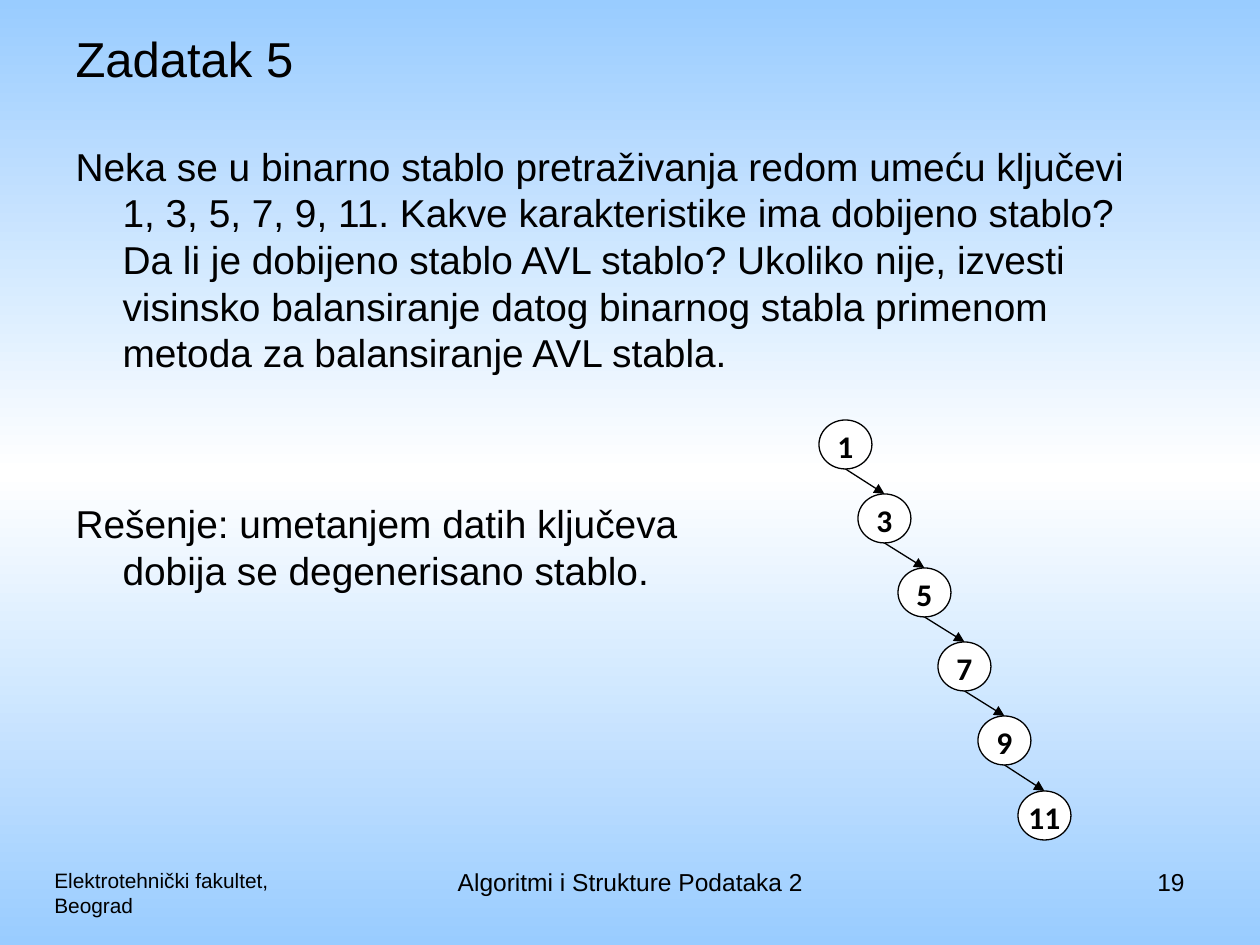
"""Build the slide on a degenerate binary search tree."""
from copy import deepcopy

from pptx import Presentation
from pptx.dml.color import RGBColor
from pptx.enum.shapes import MSO_CONNECTOR, MSO_SHAPE
from pptx.enum.text import MSO_ANCHOR, MSO_AUTO_SIZE, PP_ALIGN
from pptx.oxml.ns import qn
from pptx.oxml.xmlchemy import OxmlElement
from pptx.util import Emu, Pt

BLACK = RGBColor(0x00, 0x00, 0x00)
WHITE = RGBColor(0xFF, 0xFF, 0xFF)
SKY = RGBColor(0x99, 0xCC, 0xFF)


def px(length):
    return Emu(round(length * 914400 / 126))


def write(shape, paragraphs, size, alignment=PP_ALIGN.LEFT, font_name="Arial", bold=False):
    text_frame = shape.text_frame
    text_frame.text = "\n".join(paragraphs)
    text_frame.word_wrap = True
    text_frame.auto_size = MSO_AUTO_SIZE.NONE
    for paragraph in text_frame.paragraphs:
        paragraph.alignment = alignment
        paragraph.space_before = Pt(0)
        for run in paragraph.runs:
            run.font.name = font_name
            run.font.size = Pt(size)
            run.font.bold = bold
            run.font.color.rgb = BLACK


presentation = Presentation()
presentation.slide_width, presentation.slide_height = px(1260), px(945)
slide = presentation.slides.add_slide(presentation.slide_layouts[1])

background = slide.background.fill
background.gradient()
background.gradient_angle = 270
stop_list = slide._element.find(".//" + qn("a:gsLst"))
stop_list.append(deepcopy(stop_list[0]))
for stop, position, color in zip(background.gradient_stops, (0, 0.5, 1), (SKY, WHITE, SKY)):
    stop.position = position
    stop.color.rgb = color

footers = [
    (42, 378, ["Elektrotehnički fakultet,", "Beograd"], 11.9, PP_ALIGN.LEFT),
    (431, 399, ["Algoritmi i Strukture Podataka 2"], 14, PP_ALIGN.CENTER),
    (903, 294, ["19"], 14, PP_ALIGN.RIGHT),
]
for left, width, paragraphs, size, alignment in footers:
    footer = slide.shapes.add_textbox(px(left), px(861), px(width), px(66))
    write(footer, paragraphs, size, alignment)

title = slide.shapes.title
title.left, title.top, title.width, title.height = px(63), px(21), px(1134), px(73)
write(title, ["Zadatak 5"], 28)
title.text_frame.vertical_anchor = MSO_ANCHOR.MIDDLE

body = slide.placeholders[1]
body.left, body.top, body.width, body.height = px(63), px(136), px(1113), px(494)
write(body, [
    "Neka se u binarno stablo pretraživanja redom umeću ključevi 1, 3, 5, 7, 9, 11. "
    "Kakve karakteristike ima dobijeno stablo? Da li je dobijeno stablo AVL stablo? "
    "Ukoliko nije, izvesti visinsko balansiranje datog binarnog stabla primenom "
    "metoda za balansiranje AVL stabla.",
    "Rešenje: umetanjem datih ključeva\vdobija se degenerisano stablo.",
], 22.2)
for paragraph in body.text_frame.paragraphs:
    properties = paragraph._p.get_or_add_pPr()
    properties.set("marL", str(px(47)))
    properties.set("indent", str(-px(47)))
    properties.append(OxmlElement("a:buNone"))
body.text_frame.paragraphs[1].space_before = Pt(71)

nodes = []
for index, key in enumerate((1, 3, 5, 7, 9, 11)):
    left, top = 819 + 199 * index // 5, 420 + 371 * index // 5
    node = slide.shapes.add_shape(MSO_SHAPE.OVAL, px(left), px(top), px(53), px(49))
    node.shadow.inherit = False
    node.fill.solid()
    node.fill.fore_color.rgb = WHITE
    node.line.color.rgb = BLACK
    node.line.width = Pt(0.75)
    write(node, [str(key)], 18, PP_ALIGN.CENTER, "Calibri", True)
    text_frame = node.text_frame
    text_frame.vertical_anchor = MSO_ANCHOR.TOP
    text_frame.margin_left = text_frame.margin_right = 0
    text_frame.margin_top = text_frame.margin_bottom = 0
    nodes.append(node)

for parent, child in zip(nodes, nodes[1:]):
    edge = slide.shapes.add_connector(
        MSO_CONNECTOR.STRAIGHT,
        parent.left + parent.width // 2, parent.top + parent.height,
        child.left + child.width // 2, child.top)
    edge.end_connect(child, 0)
    edge.line.color.rgb = BLACK
    edge.line.width = Pt(0.75)
    arrowhead = OxmlElement("a:tailEnd")
    arrowhead.set("type", "triangle")
    edge.line._get_or_add_ln().append(arrowhead)
    edge._element.spPr.append(OxmlElement("a:effectLst"))

presentation.save("out.pptx")
